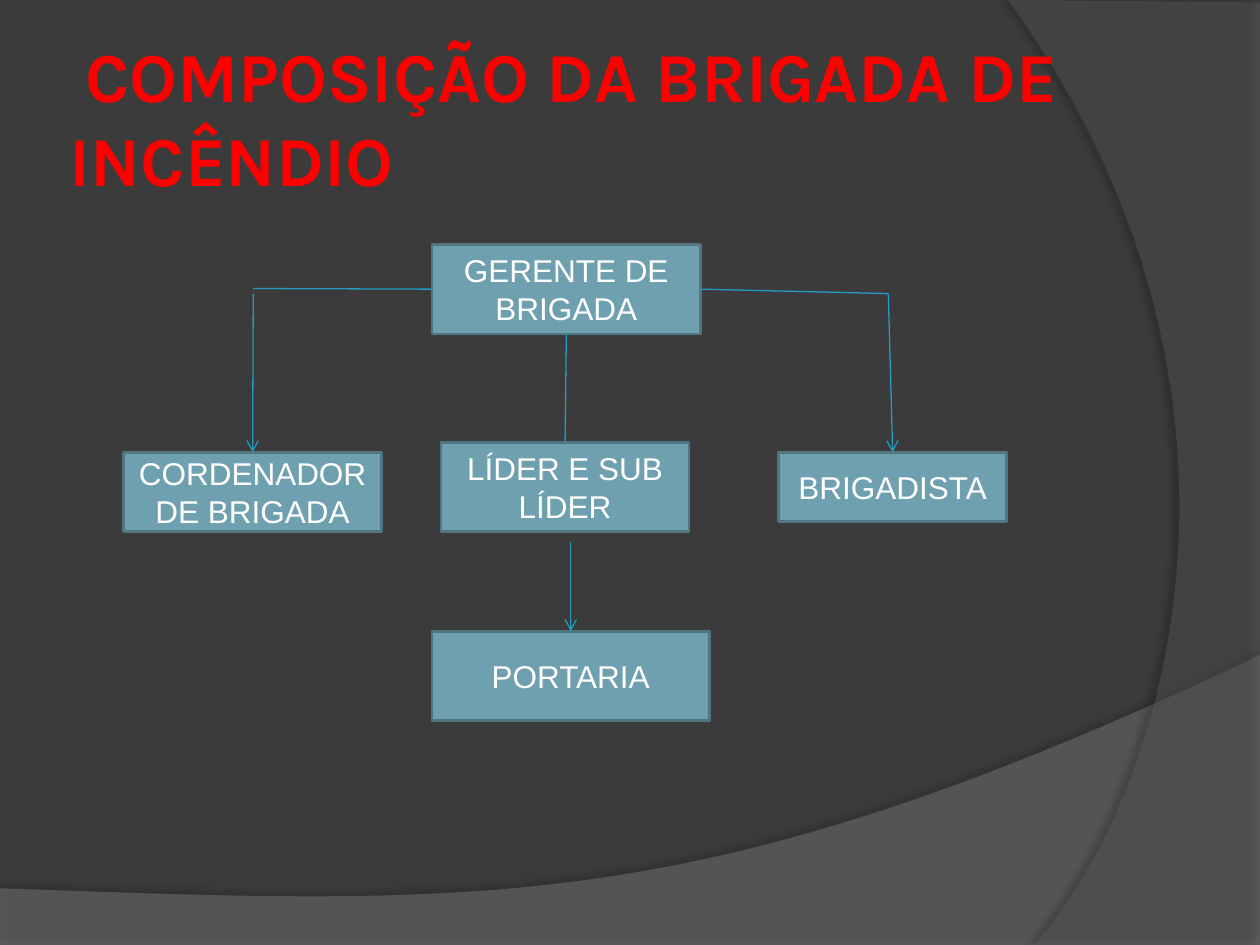
from lxml.etree import SubElement
from pptx import Presentation
from pptx.dml.color import RGBColor
from pptx.enum.shapes import MSO_CONNECTOR, MSO_SHAPE
from pptx.enum.text import MSO_ANCHOR, MSO_AUTO_SIZE, PP_ALIGN
from pptx.oxml.ns import qn
from pptx.util import Inches, Pt

BACKGROUND = RGBColor(0x3B, 0x3B, 0x3B)
WAVE_GRAY = RGBColor(0x7F, 0x7F, 0x7F)
ARC_GRAY = RGBColor(0x5E, 0x5E, 0x5E)
TITLE_RED = RGBColor(0xFF, 0x00, 0x00)
BOX_FILL = RGBColor(0x6E, 0xA0, 0xB0)
BOX_LINE = RGBColor(0x51, 0x76, 0x82)
WHITE = RGBColor(0xFF, 0xFF, 0xFF)
LINK_BLUE = RGBColor(0x23, 0x9B, 0xC2)
TOP, LEFT, BOTTOM, RIGHT = range(4)  # connection sites of a rectangle

# Chart boxes: text and left, top, width, height within the chart area
CHART_AREA = (0.98, 1.94, 7.01, 3.78)
BOXES = {
    "manager": ("GERENTE DE BRIGADA", 2.45, 0, 2.13, 0.71),
    "coordinator": ("CORDENADOR DE BRIGADA", 0, 1.65, 2.05, 0.63),
    "leader": ("LÍDER E SUB LÍDER", 2.52, 1.57, 1.97, 0.71),
    "member": ("BRIGADISTA", 5.2, 1.65, 1.81, 0.55),
    "gatehouse": ("PORTARIA", 2.45, 3.07, 2.2, 0.71),
}


def bezier(start, control_1, control_2, end, steps=60):
    """Points along a cubic curve, after its start."""
    points = []
    for step in range(1, steps + 1):
        t = step / steps
        weights = ((1 - t) ** 3, 3 * t * (1 - t) ** 2, 3 * t * t * (1 - t), t ** 3)
        corners = (start, control_1, control_2, end)
        points.append(tuple(sum(w * c[axis] for w, c in zip(weights, corners))
                            for axis in (0, 1)))
    return points


def add_backdrop(slide, points, color, opacity, shadow_opacity, blur, distance, angle):
    """Translucent outline with a soft shadow."""
    corners = [(Inches(x), Inches(y)) for x, y in points]
    builder = slide.shapes.build_freeform(*corners[0])
    builder.add_line_segments(corners[1:], close=True)
    shape = builder.convert_to_shape()
    shape.fill.solid()
    shape.fill.fore_color.rgb = color
    shape.line.fill.background()
    fill_color = shape.element.spPr.find(f"{qn('a:solidFill')}/{qn('a:srgbClr')}")
    SubElement(fill_color, qn("a:alpha"), val=str(opacity * 1000))
    shape.shadow.inherit = False
    effects = shape.element.spPr.find(qn("a:effectLst"))
    shadow = SubElement(effects, qn("a:outerShdw"), blurRad=str(Pt(blur)),
                        dist=str(Pt(distance)), dir=str(angle * 60000),
                        algn="ctr", rotWithShape="0")
    shadow_color = SubElement(shadow, qn("a:srgbClr"), val="000000")
    SubElement(shadow_color, qn("a:alpha"), val=str(shadow_opacity * 1000))


def add_background(slide, width, height):
    slide.background.fill.solid()
    slide.background.fill.fore_color.rgb = BACKGROUND
    # Wave along the bottom
    wave = [(0, 7.05), (0, height), (width, height), (width, 5.2)]
    wave += bezier(wave[-1], (5.59, 7.29), (3.91, 7.19), wave[0])
    add_backdrop(slide, wave, WAVE_GRAY, 45, 35, 4, 3.5, 270)
    # Arc along the right edge
    arc = [(width, 0.02), (width, height), (8.21, height)]
    arc += bezier(arc[-1], (9.35, 6.19), (10.18, 3), (8, 0))
    add_backdrop(slide, arc, ARC_GRAY, 40, 45, 4, 4, 180)


def add_title(slide, left, top, width, height):
    title = slide.shapes.title
    title.left, title.top = Inches(left), Inches(top)
    title.width, title.height = Inches(width), Inches(height)
    frame = title.text_frame
    frame.text = "COMPOSIÇÃO DA BRIGADA DE INCÊNDIO"
    frame.word_wrap = True
    frame.auto_size = MSO_AUTO_SIZE.NONE
    frame.vertical_anchor = MSO_ANCHOR.MIDDLE
    frame.margin_left = frame.margin_right = Inches(0.05)
    frame.margin_top = frame.margin_bottom = Inches(0.05)
    paragraph = frame.paragraphs[0]
    paragraph.alignment = PP_ALIGN.LEFT
    properties = paragraph._p.get_or_add_pPr()
    properties.set("marL", "0")
    properties.set("indent", str(Inches(0.13)))  # first line set in slightly
    font = paragraph.font
    font.name, font.size, font.bold = "Karla", Pt(40), True
    font.color.rgb = TITLE_RED
    slide.shapes.element.append(title.element)  # in front of the backdrop


def add_box(slide, text, left, top, width, height):
    box = slide.shapes.add_shape(MSO_SHAPE.RECTANGLE, Inches(left), Inches(top),
                                 Inches(width), Inches(height))
    box.shadow.inherit = False
    box.fill.solid()
    box.fill.fore_color.rgb = BOX_FILL
    box.line.color.rgb = BOX_LINE
    box.line.width = Pt(1.5)
    frame = box.text_frame
    frame.text = text
    frame.word_wrap = True
    frame.vertical_anchor = MSO_ANCHOR.MIDDLE
    paragraph = frame.paragraphs[0]
    paragraph.alignment = PP_ALIGN.CENTER
    paragraph.font.name, paragraph.font.size = "Arial", Pt(18)
    paragraph.font.color.rgb = WHITE
    return box


def add_link(slide, start, end, arrow=False):
    """Join two ends, each an (x, y) point or a (box, site) pair."""
    points = [(0, 0) if hasattr(e[0], "text_frame") else (Inches(e[0]), Inches(e[1]))
              for e in (start, end)]
    link = slide.shapes.add_connector(MSO_CONNECTOR.STRAIGHT, *points[0], *points[1])
    if hasattr(start[0], "text_frame"):
        link.begin_connect(*start)
    if hasattr(end[0], "text_frame"):
        link.end_connect(*end)
    link.line.color.rgb = LINK_BLUE
    link.line.width = Pt(0.75)
    if arrow:
        SubElement(link.line._get_or_add_ln(), qn("a:tailEnd"), type="arrow")
    SubElement(link.element.spPr, qn("a:effectLst"))


def add_brigade_chart(slide, left, top, width, height):
    boxes = {name: add_box(slide, text, left + x, top + y, w, h)
             for name, (text, x, y, w, h) in BOXES.items()}
    manager = boxes["manager"]
    left_x = left + 1.03
    left_bend, left_drop = (left_x, top + 0.35), (left_x, top + 0.39)
    right_bend = (left + 6.07, top + 0.39)
    add_link(slide, (manager, BOTTOM), (boxes["leader"], TOP))
    add_link(slide, left_bend, (manager, LEFT))
    add_link(slide, (manager, RIGHT), right_bend)
    add_link(slide, right_bend, (boxes["member"], TOP), arrow=True)
    add_link(slide, left_drop, (boxes["coordinator"], TOP), arrow=True)
    add_link(slide, (left + 3.55, top + 2.36), (boxes["gatehouse"], TOP), arrow=True)


def main():
    presentation = Presentation()
    presentation.slide_width, presentation.slide_height = Inches(10), Inches(7.5)
    slide = presentation.slides.add_slide(presentation.slide_layouts[5])
    add_background(slide, 10, 7.5)
    add_title(slide, 0.5, 0.3, 8.17, 1.25)
    add_brigade_chart(slide, *CHART_AREA)
    presentation.save("out.pptx")


if __name__ == "__main__":
    main()
